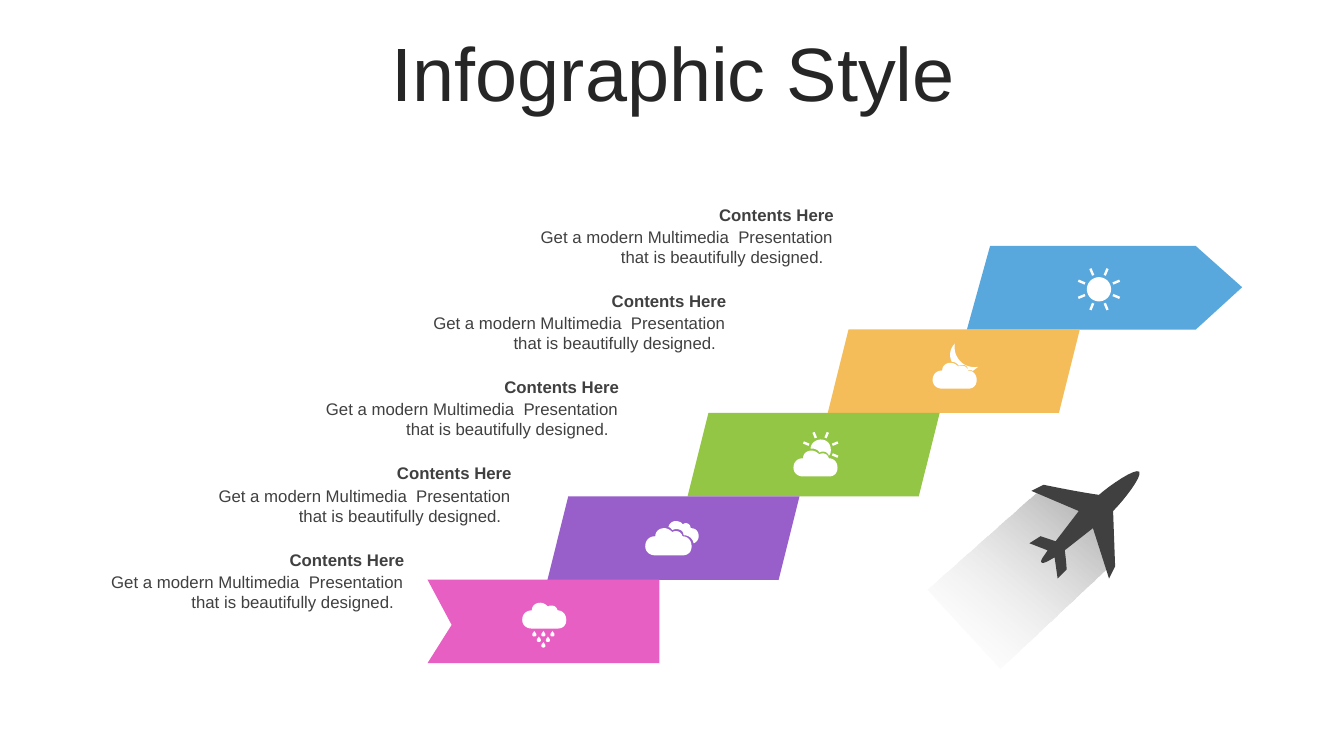
"""Build the weather staircase infographic slide."""
import math

import pptx
import pptx.dml.color
import pptx.enum.shapes
import pptx.enum.text
import pptx.oxml
import pptx.oxml.ns
import pptx.util

TITLE = "Infographic Style"
HEADING = "Contents Here"
BODY = "Get a modern Multimedia  Presentation that is beautifully designed.  "
COLORS = {
    "title": "262626", "text": "404040", "plane": "404040", "icon": "FFFFFF",
    "trail_start": "FFFFFF", "trail_end": "A6A6A6", "sun": "58A8DD",
    "moon": "F4BD59", "partly": "92C644", "cloudy": "985ECA", "rain": "E85FC4",
}
MIDDLE_STEPS = ["moon", "partly", "cloudy"]

PAGE_WIDTH, PAGE_HEIGHT = 13.33, 7.5
STEP_COUNT = 5
STEP_TOP, STEP_BOTTOM = 2.44, 6.58
STEP_HEIGHT = (STEP_BOTTOM - STEP_TOP) / STEP_COUNT
STEP_LEFT, STEP_SHIFT, STEP_WIDTH = 8.21, 1.39, 2.5
NOTE_LEFT, NOTE_TOP, NOTE_WIDTH = 5.11, 2.2, 3.25
NOTE_SHIFT, NOTE_PITCH, HEADING_RISE = 1.065, 0.855, 0.22

ARROW = [(9.82, 2.44), (11.86, 2.44), (12.32, 2.85), (11.86, 3.27), (9.59, 3.27)]
RIBBON_TAIL = [(4.24, 5.75), (6.54, 5.75), (6.54, 6.58), (4.24, 6.58), (4.48, 6.2)]
TRAIL = [(10.84, 5.05), (11.02, 5.6), (9.92, 6.63), (9.2, 5.85), (10.28, 4.89)]
PLANE = [
    (10.49, 5.74), (10.46, 5.53), (10.42, 5.55, 10.35, 5.6, 10.33, 5.58),
    (10.31, 5.56, 10.37, 5.5, 10.39, 5.46), (10.21, 5.39), (10.32, 5.32),
    (10.47, 5.37), (10.7, 5.07), (10.23, 4.87), (10.35, 4.81),
    (10.55, 4.85, 10.7, 4.88, 10.9, 4.91), (11, 4.82, 11.26, 4.64, 11.3, 4.68),
    (11.33, 4.73, 11.14, 4.97, 11.04, 5.07), (11.06, 5.62), (11, 5.74),
    (10.84, 5.24), (10.56, 5.46), (10.57, 5.51, 10.58, 5.65, 10.58, 5.65),
]
CLOUD = [
    (0.19, 0), (0.22, 0, 0.25, 0.02, 0.27, 0.04), (0.28, 0.03, 0.29, 0.03, 0.31, 0.03),
    (0.34, 0.03, 0.36, 0.05, 0.37, 0.08), (0.42, 0.08, 0.46, 0.12, 0.46, 0.18),
    (0.46, 0.23, 0.43, 0.27, 0.37, 0.27), (0.1, 0.27),
    (0.04, 0.27, 0, 0.23, 0, 0.18), (0, 0.12, 0.04, 0.08, 0.1, 0.08),
    (0.1, 0.03, 0.14, 0, 0.19, 0),
]
BACK_CLOUD = [
    (6.7, 5.17), (6.73, 5.17, 6.76, 5.18, 6.77, 5.2), (6.78, 5.2, 6.79, 5.19, 6.8, 5.19),
    (6.83, 5.19, 6.85, 5.21, 6.85, 5.24), (6.9, 5.24, 6.93, 5.27, 6.93, 5.32),
    (6.93, 5.35, 6.91, 5.38, 6.88, 5.39), (6.87, 5.34, 6.83, 5.31, 6.78, 5.31),
    (6.78, 5.27, 6.75, 5.25, 6.71, 5.25), (6.7, 5.25, 6.68, 5.25, 6.67, 5.26),
    (6.66, 5.25, 6.65, 5.23, 6.63, 5.23), (6.64, 5.19, 6.67, 5.17, 6.7, 5.17),
]
HALF_SUN = [
    (8.14, 4.36), (8.2, 4.36, 8.24, 4.4, 8.24, 4.46), (8.24, 4.48, 8.24, 4.51, 8.22, 4.52),
    (8.22, 4.5, 8.19, 4.48, 8.17, 4.48), (8.15, 4.48, 8.14, 4.48, 8.13, 4.49),
    (8.12, 4.47, 8.09, 4.45, 8.06, 4.45), (8.05, 4.45, 8.04, 4.45, 8.04, 4.45),
    (8.04, 4.4, 8.09, 4.36, 8.14, 4.36),
]
MOON = [
    (9.47, 3.41), (9.46, 3.48, 9.48, 3.54, 9.53, 3.59), (9.57, 3.63, 9.63, 3.65, 9.7, 3.64),
    (9.68, 3.66, 9.66, 3.67, 9.65, 3.68), (9.63, 3.67, 9.62, 3.67, 9.6, 3.67),
    (9.6, 3.64, 9.58, 3.62, 9.55, 3.62), (9.53, 3.62, 9.52, 3.62, 9.51, 3.63),
    (9.5, 3.61, 9.47, 3.59, 9.44, 3.59), (9.41, 3.53, 9.42, 3.46, 9.47, 3.41),
]
DROP = [
    (0, 0), (0.01, 0.02, 0.02, 0.02, 0.02, 0.04),
    (0.02, 0.06, -0.02, 0.06, -0.02, 0.04), (-0.02, 0.02, -0.01, 0.02, 0, 0),
]


def rgb(name):
    return pptx.dml.color.RGBColor.from_string(COLORS[name])


def placed(outline, left, top, scale=1.0):
    """Move and scale an outline of line and curve steps."""
    return [tuple(value * scale + (top if index % 2 else left)
                  for index, value in enumerate(step)) for step in outline]


def flatten(outline, pieces=8):
    """Turn two-value line steps and six-value Bezier steps into points."""
    points = []
    for step in outline:
        if len(step) == 2:
            points.append(step)
            continue
        knots = [points[-1], step[:2], step[2:4], step[4:]]
        for piece in range(1, pieces + 1):
            t = piece / pieces
            weights = [math.comb(3, k) * t**k * (1 - t)**(3 - k) for k in range(4)]
            points.append(tuple(sum(w * knot[axis] for w, knot in zip(weights, knots))
                                for axis in (0, 1)))
    return points


def polar(center, radius, degrees, sideways=0.0):
    angle = math.radians(degrees)
    return (center[0] + radius * math.cos(angle) - sideways * math.sin(angle),
            center[1] + radius * math.sin(angle) + sideways * math.cos(angle))


def rays(center, radius, count):
    """Return sun rays, 45 degrees apart, starting at the left."""
    corners = [(1.25, -0.012), (1.85, -0.012), (1.85, 0.012), (1.25, 0.012)]
    return [[polar(center, radius * reach, 45 * index - 157.5, side)
             for reach, side in corners] for index in range(count)]


def finish(shape, color):
    shape.shadow.inherit = False
    shape.line.fill.background()
    shape.fill.solid()
    shape.fill.fore_color.rgb = rgb(color)
    return shape


def draw(page, color, *outlines):
    """Draw all outlines as one filled freeform."""
    builder = None
    for outline in outlines:
        start, *rest = [(pptx.util.Inches(x), pptx.util.Inches(y)) for x, y in flatten(outline)]
        if builder is None:
            builder = page.shapes.build_freeform(*start)
        else:
            builder.move_to(*start)
        builder.add_line_segments(rest, close=True)
    return finish(builder.convert_to_shape(), color)


def write(box, text, size, color, align, bold=False, spacing=None):
    frame = box.text_frame
    frame.word_wrap = True
    para = frame.paragraphs[0]
    para.alignment = align
    para.line_spacing = spacing
    span = para.add_run()
    span.text = text
    span.font.name = "Arial"
    span.font.size = pptx.util.Pt(size)
    span.font.bold = bold
    span.font.color.rgb = rgb(color)


def add_note(page, text, left, top, width, height, bold=False):
    box = page.shapes.add_textbox(*map(pptx.util.Inches, (left, top, width, height)))
    write(box, text, 12, "text", pptx.enum.text.PP_ALIGN.RIGHT, bold=bold)


def main():
    deck = pptx.Presentation()
    deck.slide_width = pptx.util.Inches(PAGE_WIDTH)
    deck.slide_height = pptx.util.Inches(PAGE_HEIGHT)
    page = deck.slides.add_slide(deck.slide_layouts.get_by_name("Title Only"))
    title = page.shapes.title
    title.left, title.top, title.width, title.height = map(
        pptx.util.Inches, (0.35, 0.37, 12.66, 0.79))
    title.text_frame.vertical_anchor = pptx.enum.text.MSO_ANCHOR.MIDDLE
    title.text_frame.auto_size = pptx.enum.text.MSO_AUTO_SIZE.NONE
    write(title, TITLE, 54, "title", pptx.enum.text.PP_ALIGN.CENTER, spacing=0.9)

    draw(page, "sun", ARROW)
    for index, color in enumerate(MIDDLE_STEPS):
        area = (STEP_LEFT - index * STEP_SHIFT, STEP_TOP + (index + 1) * STEP_HEIGHT,
                STEP_WIDTH, STEP_HEIGHT)
        finish(page.shapes.add_shape(pptx.enum.shapes.MSO_SHAPE.PARALLELOGRAM,
                                     *map(pptx.util.Inches, area)), color)
    draw(page, "rain", RIBBON_TAIL)

    for index in range(STEP_COUNT):
        left = NOTE_LEFT - index * NOTE_SHIFT
        top = NOTE_TOP + index * NOTE_PITCH
        add_note(page, BODY, left, top, NOTE_WIDTH, 0.5)
        add_note(page, HEADING, left, top - HEADING_RISE, NOTE_WIDTH + 0.01, 0.3, bold=True)

    trail = draw(page, "trail_end", TRAIL)
    trail.fill.gradient()
    trail.fill.gradient_angle = 50
    for stop, color in zip(trail.fill.gradient_stops, ("trail_start", "trail_end")):
        stop.color.rgb = rgb(color)
    first_color = trail._element.spPr.find(".//" + pptx.oxml.ns.qn("a:srgbClr"))
    first_color.append(pptx.oxml.parse_xml(
        f'<a:alpha {pptx.oxml.ns.nsdecls("a")} val="0"/>'))
    draw(page, "plane", PLANE)

    drops = [placed(DROP, 5.39 + (index - (2 - row) / 2) * 0.09, 6.26 + row * 0.055)
             for row in range(3) for index in range(3 - row)]
    sun_center, sun_radius = (10.9, 2.87), 0.12
    disc = [polar(sun_center, sun_radius, degrees) for degrees in range(0, 360, 6)]
    draw(page, "icon", placed(CLOUD, 6.4, 5.24), BACK_CLOUD)
    draw(page, "icon", placed(CLOUD, 7.87, 4.47, 0.95), HALF_SUN, *rays((8.14, 4.46), 0.1, 5))
    draw(page, "icon", placed(CLOUD, 5.18, 5.98, 0.95), *drops)
    draw(page, "icon", placed(CLOUD, 9.25, 3.6, 0.95), MOON)
    draw(page, "icon", disc, *rays(sun_center, sun_radius, 8))
    deck.save("out.pptx")


if __name__ == "__main__":
    main()
